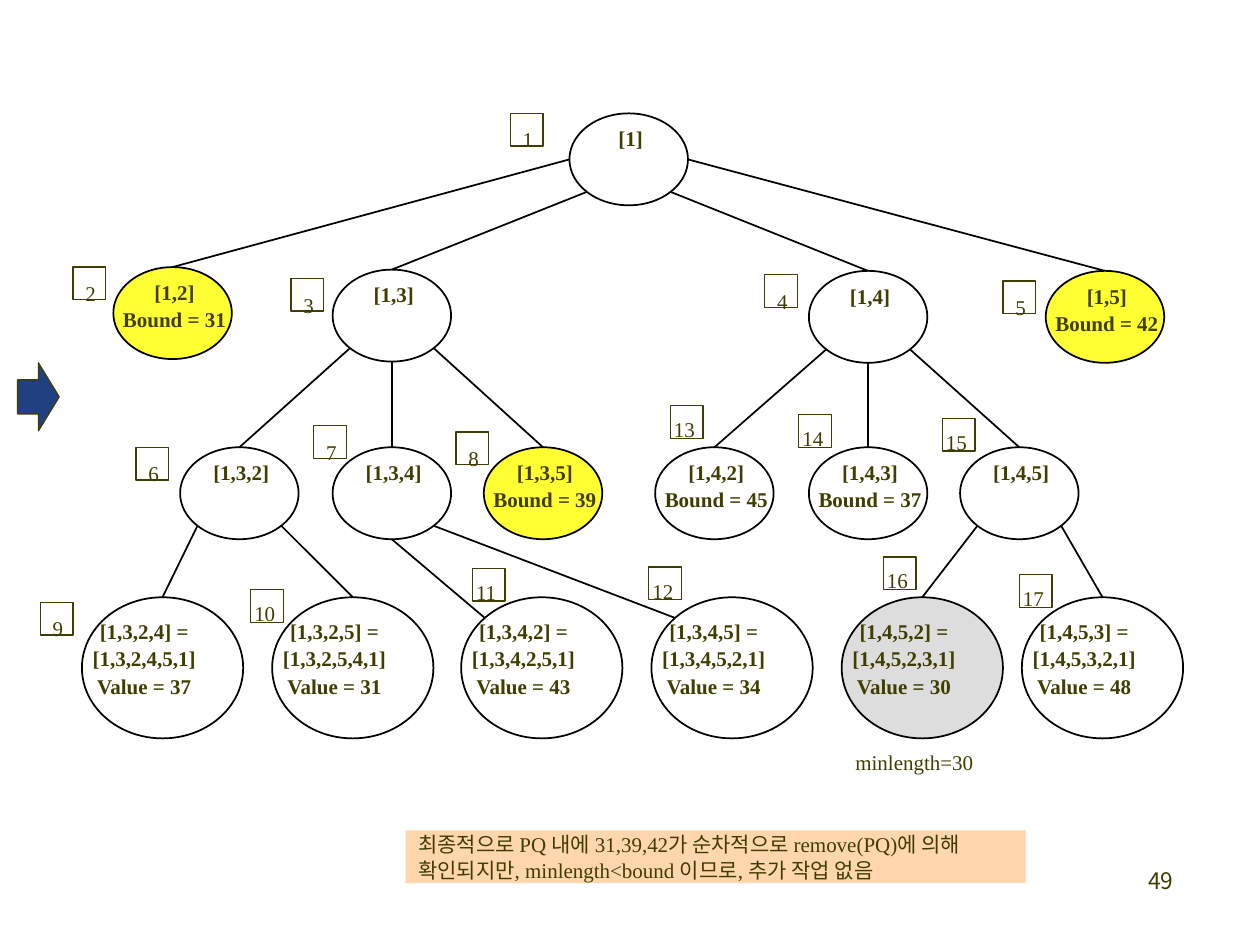
from math import sqrt

from lxml.etree import SubElement
from pptx import Presentation
from pptx.dml.color import RGBColor
from pptx.enum.shapes import MSO_CONNECTOR, MSO_SHAPE
from pptx.enum.text import MSO_ANCHOR, MSO_AUTO_SIZE, PP_ALIGN
from pptx.oxml.ns import qn
from pptx.util import Inches, Pt

INK = RGBColor(0x3F, 0x3E, 0x00)
BLACK = RGBColor(0x00, 0x00, 0x00)
YELLOW = RGBColor(0xFF, 0xFF, 0x33)
GREY = RGBColor(0xDD, 0xDD, 0xDD)
PEACH = RGBColor(0xFF, 0xD6, 0xAD)
NAVY = RGBColor(0x20, 0x40, 0x80)
SERIF, SANS = "Times New Roman", "Noto Sans CJK KR"

INNER, LEAF = (0.94, 0.73), (1.28, 1.12)
BADGE = 0.26
LEAF_TOP, MIDDLE_TOP = 4.74, 3.55

# visit number: (lines, left, top, size, fill, badge left, badge top)
NODES = {
    1: (["[1]"], 4.52, 0.9, INNER, None, 4.05, 0.9),
    2: (["[1,2]", "Bound = 31"], 0.9, 2.12, INNER, YELLOW, 0.58, 2.12),
    3: (["[1,3]"], 2.64, 2.14, INNER, None, 2.31, 2.21),
    4: (["[1,4]"], 6.42, 2.15, INNER, None, 6.07, 2.18),
    5: (["[1,5]", "Bound = 42"], 8.3, 2.15, INNER, YELLOW, 7.96, 2.23),
    6: (["[1,3,2]"], 1.43, MIDDLE_TOP, INNER, None, 1.08, 3.55),
    7: (["[1,3,4]"], 2.64, MIDDLE_TOP, INNER, None, 2.49, 3.38),
    8: (["[1,3,5]", "Bound = 39"], 3.84, MIDDLE_TOP, INNER, YELLOW, 3.62, 3.43),
    9: (["[1,3,2,4] =", "[1,3,2,4,5,1]", "Value = 37"], 0.65, LEAF_TOP, LEAF, None, 0.32, 4.78),
    10: (["[1,3,2,5] =", "[1,3,2,5,4,1]", "Value = 31"], 2.16, LEAF_TOP, LEAF, None, 1.99, 4.68),
    11: (["[1,3,4,2] =", "[1,3,4,2,5,1]", "Value = 43"], 3.66, LEAF_TOP, LEAF, None, 3.75, 4.51),
    12: (["[1,3,4,5] =", "[1,3,4,5,2,1]", "Value = 34"], 5.17, LEAF_TOP, LEAF, None, 5.15, 4.5),
    13: (["[1,4,2]", "Bound = 45"], 5.2, MIDDLE_TOP, INNER, None, 5.32, 3.22),
    14: (["[1,4,3]", "Bound = 37"], 6.42, MIDDLE_TOP, INNER, None, 6.34, 3.29),
    15: (["[1,4,5]"], 7.62, MIDDLE_TOP, INNER, None, 7.48, 3.32),
    16: (["[1,4,5,2] =", "[1,4,5,2,3,1]", "Value = 30"], 6.68, LEAF_TOP, LEAF, GREY, 7.01, 4.42),
    17: (["[1,4,5,3] =", "[1,4,5,3,2,1]", "Value = 48"], 8.11, LEAF_TOP, LEAF, None, 8.09, 4.56),
}

# parent, child, point on the parent, point on the child
EDGES = [
    (1, 2, "left", "top"), (1, 3, "lower left", "top"),
    (1, 4, "lower right", "top"), (1, 5, "right", "top"),
    (3, 6, "lower left", "top"), (3, 7, "bottom", "top"), (3, 8, "lower right", "top"),
    (4, 13, "lower left", "top"), (4, 14, "bottom", "top"), (4, 15, "lower right", "top"),
    (6, 9, "lower left", "top"), (6, 10, "lower right", "top"),
    (7, 11, "bottom", "upper left"), (7, 12, "lower right", "upper left"),
    (15, 16, "lower left", "top"), (15, 17, "lower right", "top"),
]
DIAGONAL = sqrt(0.5)
RIM = {
    "top": (0, -1), "bottom": (0, 1), "left": (-1, 0), "right": (1, 0),
    "upper left": (-DIAGONAL, -DIAGONAL),
    "lower left": (-DIAGONAL, DIAGONAL), "lower right": (DIAGONAL, DIAGONAL),
}

MINIMUM = "minlength=30"
CONCLUSION = ("최종적으로 PQ 내에 31,39,42가 순차적으로 remove(PQ)에 의해 "
              "확인되지만, minlength<bound 이므로, 추가 작업 없음")
PAGE_NUMBER = "49"

prs = Presentation()
prs.slide_width, prs.slide_height = Inches(10), Inches(7.5)
slide = prs.slides.add_slide(prs.slide_layouts[6])


def add_form(kind, left, top, width, height, fill, line, weight=1):
    """Add a flat preset shape; None leaves out its fill or line."""
    form = slide.shapes.add_shape(kind, *map(Inches, (left, top, width, height)))
    form.shadow.inherit = False
    if fill is None:
        form.fill.background()
    else:
        form.fill.solid()
        form.fill.fore_color.rgb = fill
    if line is None:
        form.line.fill.background()
    else:
        form.line.color.rgb = line
        form.line.width = Pt(weight)
    return form


def write(frame, lines, align=PP_ALIGN.LEFT, spacing=None, before=None,
          bold=False, size=12, font=SERIF):
    """Write one paragraph per line with shared formatting."""
    frame.vertical_anchor = MSO_ANCHOR.TOP
    for index, line in enumerate(lines):
        paragraph = frame.add_paragraph() if index else frame.paragraphs[0]
        paragraph.alignment = align
        paragraph.line_spacing = spacing
        paragraph.space_before = before
        run = paragraph.add_run()
        run.text = line
        run.font.name, run.font.size, run.font.bold = font, Pt(size), bold
        run.font.color.rgb = INK
        SubElement(run.font._element, qn("a:ea")).set("typeface", SANS)


def add_label(left, top, width, height, lines, wrap=True, **style):
    """Add a text box."""
    frame = slide.shapes.add_textbox(*map(Inches, (left, top, width, height))).text_frame
    frame.word_wrap = wrap
    frame.auto_size = MSO_AUTO_SIZE.SHAPE_TO_FIT_TEXT
    write(frame, lines, **style)


def rim_point(number, place):
    """Return a point on the outline of a node, in inches."""
    _, left, top, (width, height), *_ = NODES[number]
    x, y = RIM[place]
    return left + width / 2 * (1 + x), top + height / 2 * (1 + y)


def add_edge(parent, child, start, end):
    """Draw the line from a parent node to its child."""
    ends = rim_point(parent, start) + rim_point(child, end)
    edge = slide.shapes.add_connector(MSO_CONNECTOR.STRAIGHT, *map(Inches, ends))
    edge.line.color.rgb, edge.line.width = BLACK, Pt(1)
    SubElement(edge._element.spPr, qn("a:effectLst"))


def add_node(lines, left, top, size, fill):
    """Draw a tree node with its label."""
    add_form(MSO_SHAPE.OVAL, left, top, *size, fill, BLACK)
    shift, drop = (-0.02, 0.14) if size == LEAF else (-0.03, 0.07)
    add_label(left + shift, top + drop, 1.03, 0.06 + 0.22 * len(lines), lines, wrap=False,
              align=PP_ALIGN.CENTER, spacing=0.9, before=Pt(2.75), bold=True)


def add_badge(number, left, top):
    """Draw the visit number and its square."""
    margin, rise = (0.07, 0.15) if number > 9 else (0, 0.13)
    add_label(left - margin, top - rise, BADGE + 2 * margin, 0.44, [str(number)],
              spacing=Pt(28))
    add_form(MSO_SHAPE.RECTANGLE, left, top, BADGE, BADGE, None, INK, 0.75)


for edge in EDGES:
    add_edge(*edge)
for number, (*node, badge_left, badge_top) in NODES.items():
    add_node(*node)
    add_badge(number, badge_left, badge_top)

add_label(6.69, 5.71, 1.15, 0.43, [MINIMUM], wrap=False, spacing=Pt(28))
conclusion = add_form(MSO_SHAPE.RECTANGLE, 3.22, 6.59, 4.92, 0.42, PEACH, None).text_frame
conclusion.word_wrap = True
conclusion.margin_top = conclusion.margin_bottom = 0
write(conclusion, [CONCLUSION], spacing=Pt(15))
add_form(MSO_SHAPE.RIGHT_ARROW, 0.14, 2.88, 0.33, 0.54, NAVY, INK, 0.75)
add_label(7.33, 6.83, 2.08, 0.5, [PAGE_NUMBER], align=PP_ALIGN.RIGHT, size=13, font=SANS)

prs.save("out.pptx")
